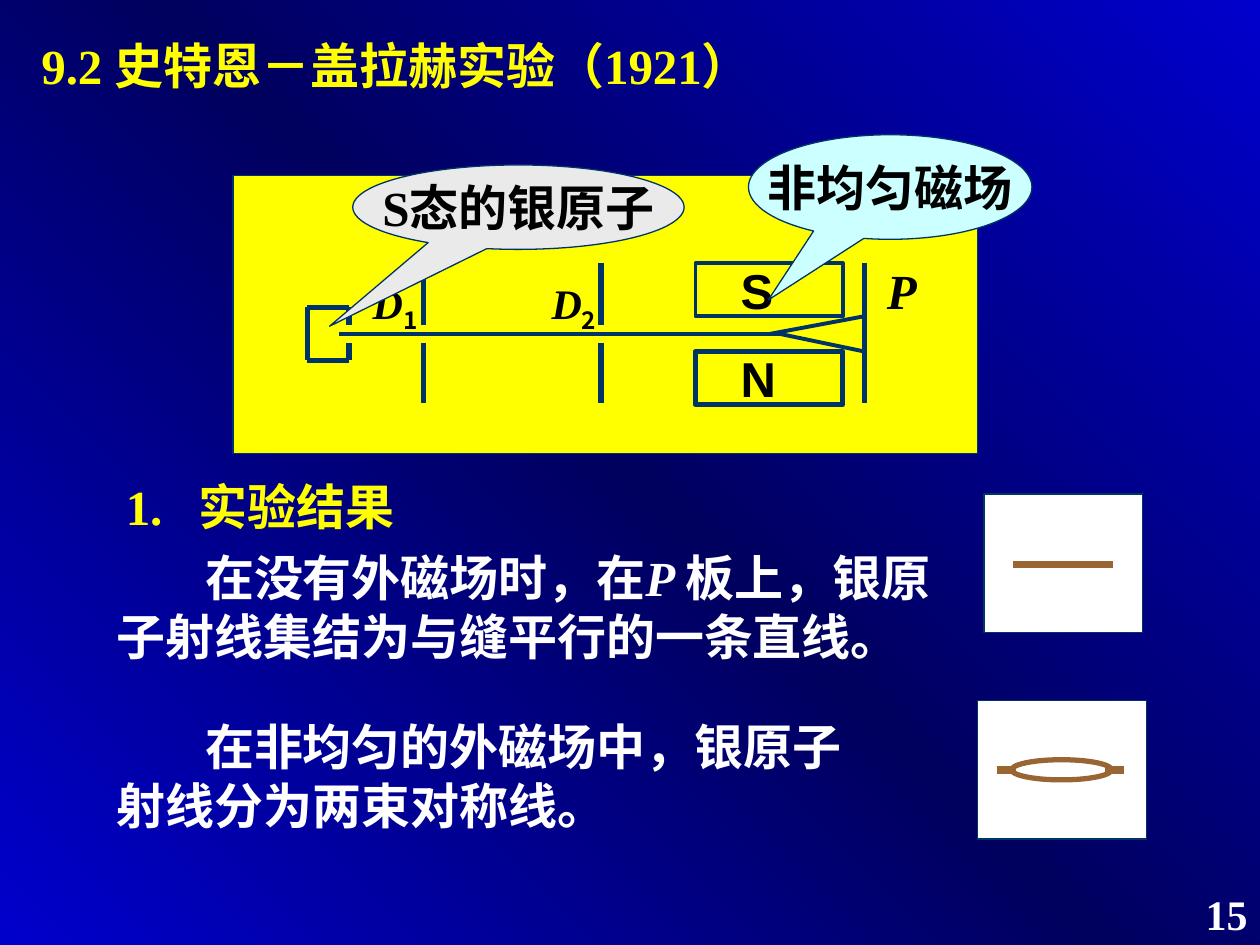
from copy import deepcopy
from dataclasses import dataclass

from pptx import Presentation
from pptx import util as u
from pptx.dml.color import RGBColor
from pptx.enum import shapes, text
from pptx.oxml.ns import qn
from lxml import etree


@dataclass(frozen=True)
class Theme:
    blue: str = "0000CC"
    night: str = "00005E"
    navy: str = "003366"
    yellow: str = "FFFF00"
    white: str = "FFFFFF"
    black: str = "000000"
    grey: str = "EAEAEA"
    aqua: str = "CCFFFF"
    brown: str = "996633"
    serif: str = "Times New Roman"
    sans: str = "Arial"
    han: str = "Noto Sans CJK SC"
    body: int = 28
    small: int = 24


T = Theme()
Kind = shapes.MSO_SHAPE


def rgb(code):
    return RGBColor.from_string(code)


def paint_back(slide):
    """Blue-dark-blue gradient rising from bottom left to top right."""
    fill = slide.background.fill
    fill.gradient()
    fill.gradient_angle = 45
    for stop in fill.gradient_stops:
        stop.color.rgb = rgb(T.blue)
    first = slide.element.find(".//" + qn("a:gs"))
    first.addnext(deepcopy(first))
    for stop, pos in zip(fill.gradient_stops, (0, 0.5, 1)):
        stop.position = pos
    fill.gradient_stops[1].color.rgb = rgb(T.night)


def style(run, size, color, face=T.serif, slant=False, sub=False):
    font = run.font
    font.size, font.bold, font.italic = u.Pt(size), True, slant
    font.name, font.color.rgb = face, rgb(color)
    props = font._element
    props.find(qn("a:latin")).addnext(
        props.makeelement(qn("a:ea"), {"typeface": T.han}))
    if sub:
        props.set("baseline", "-25000")


def add_text(where, box, parts, size=T.body, color=T.white, indent=0, tab=0, wrap=True):
    """parts: a list of (words, style options)."""
    frame = where.add_textbox(*map(u.Inches, box)).text_frame
    frame.word_wrap = wrap
    frame.auto_size = text.MSO_AUTO_SIZE.SHAPE_TO_FIT_TEXT
    para = frame.paragraphs[0]
    props = para._p.get_or_add_pPr()
    if indent:
        props.set("indent", str(u.Inches(indent)))
    if tab:
        stops = etree.SubElement(props, qn("a:tabLst"))
        etree.SubElement(stops, qn("a:tab"), pos=str(u.Inches(tab)), algn="l")
    for words, opts in parts:
        run = para.add_run()
        run.text = words
        style(run, size, color, **opts)


def add_form(where, kind, box, fill=None, line=T.navy, width=0.75):
    form = where.add_shape(kind, *map(u.Inches, box))
    form.shadow.inherit = False
    if fill:
        form.fill.solid()
        form.fill.fore_color.rgb = rgb(fill)
    else:
        form.fill.background()
    form.line.color.rgb = rgb(line)
    form.line.width = u.Pt(width)
    return form


def add_line(where, x1, y1, x2, y2, color=T.navy, width=3):
    line = where.add_connector(
        shapes.MSO_CONNECTOR.STRAIGHT, *map(u.Inches, (x1, y1, x2, y2)))
    line.line.color.rgb = rgb(color)
    line.line.width = u.Pt(width)
    etree.SubElement(line._element.spPr, qn("a:effectLst"))


def add_bubble(where, box, words, fill, tip):
    form = add_form(where, Kind.OVAL_CALLOUT, box, fill)
    form.adjustments[0], form.adjustments[1] = tip
    frame = form.text_frame
    frame.word_wrap = False
    frame.vertical_anchor = text.MSO_ANCHOR.MIDDLE
    frame.text = words
    para = frame.paragraphs[0]
    para.alignment = text.PP_ALIGN.CENTER
    style(para.runs[0], T.body, T.black)


def draw_setup(slide):
    """Oven, two slits, magnet poles, split beam and plate P."""
    rig = slide.shapes.add_group_shape().shapes
    top, low, beam = 2.09, 3.2, 2.65
    gap = (2.58, 2.72)
    left, right, roof, floor = 2.44, 2.77, 2.44, 2.86
    add_line(rig, left, roof, left, floor)
    for edge, lip in zip((roof, floor), gap):
        add_line(rig, left, edge, right, edge)
        add_line(rig, right, edge, right, lip)
    add_line(rig, 2.69, beam, 6.19, beam, width=2.25)

    for mark, x, start, wide in (("1", 3.36, 2.86, 1.26), ("2", 4.77, 4.28, 0.67)):
        add_line(rig, x, top, x, gap[0])
        add_line(rig, x, gap[1], x, low)
        add_text(rig, (start, 2.15, wide, 0.56),
                 [("D", {"slant": True}), (mark, {"face": T.han, "sub": True})],
                 T.small, T.black)

    for pole, y, width in (("S", top, 2.25), ("N", 2.79, 3)):
        add_form(rig, Kind.RECTANGLE, (5.52, y, 1.17, 0.42), width=width)
        add_text(rig, (5.78, y - 0.07, 0.67, 0.57),
                 [(pole, {"face": T.sans})], color=T.black)

    plate = 6.86
    add_line(rig, plate, top, plate, low)
    for x, y in ((6.11, 2.51), (6.19, 2.79)):
        add_line(rig, x, beam, plate, y, width=2.25)
    add_text(rig, (6.94, 2.02, 0.5, 0.57), [("P", {"slant": True})], color=T.black)


def draw_cards(slide):
    """Traces on the plate: one line without field, two with it."""
    plain = slide.shapes.add_group_shape().shapes
    add_form(plain, Kind.RECTANGLE, (7.81, 3.92, 1.26, 1.1), T.white)
    add_line(plain, 8.04, 4.48, 8.83, 4.48, T.brown, 4.5)

    split = slide.shapes.add_group_shape().shapes
    add_form(split, Kind.RECTANGLE, (7.76, 5.56, 1.34, 1.1), T.white)
    add_form(split, Kind.OVAL, (8.03, 6.03, 0.79, 0.16), line=T.brown, width=3)
    for x in (7.91, 8.77):
        add_line(split, x, 6.11, x + 0.15, 6.11, T.brown, 4.5)


def main():
    deck = Presentation()
    deck.slide_width, deck.slide_height = u.Inches(10), u.Inches(7.5)
    slide = deck.slides.add_slide(deck.slide_layouts[6])
    paint_back(slide)
    page = slide.shapes

    add_form(page, Kind.RECTANGLE, (1.85, 1.39, 5.91, 2.21), T.yellow)
    add_text(page, (0.23, 0.23, 6.33, 0.57),
             [("9.2 史特恩－盖拉赫实验（1921）", {})], color=T.yellow)
    draw_setup(slide)
    add_bubble(page, (2.8, 1.31, 2.63, 0.67), "S态的银原子", T.grey, (-0.57, 1.41))
    add_bubble(page, (5.94, 1.07, 2.25, 0.83), "非均匀磁场", T.aqua, (-0.43, 1.08))

    add_text(page, (0.9, 3.73, 2.6, 0.57), [("1.\t实验结果", {})],
             color=T.yellow, tab=0.58)
    add_text(page, (0.83, 4.3, 6.93, 1.04),
             [("在没有外磁场时，在", {}), ("P ", {"slant": True}),
              ("板上，银原子射线集结为与缝平行的一条直线。", {})], indent=0.7)
    add_text(page, (0.83, 5.64, 6.22, 1.04),
             [("在非均匀的外磁场中，银原子射线分为两束对称线。", {})], indent=0.7)
    draw_cards(slide)
    add_text(page, (9.47, 7, 0.53, 0.5), [("15", {})], T.small, wrap=False)
    deck.save("out.pptx")


if __name__ == "__main__":
    main()
